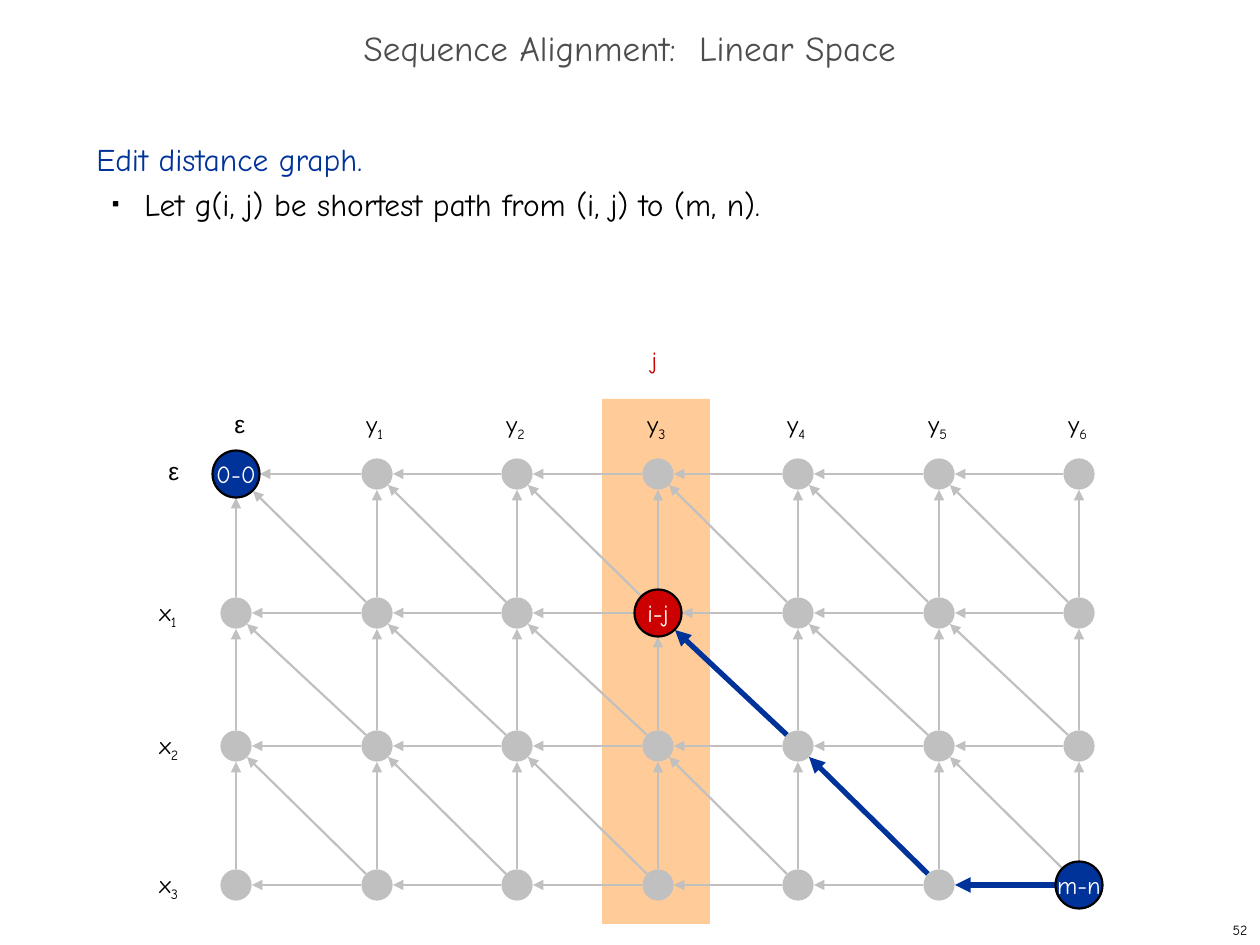
from itertools import product

from lxml import etree
from pptx import Presentation
from pptx.dml.color import RGBColor
from pptx.enum.shapes import MSO_CONNECTOR, MSO_SHAPE
from pptx.enum.text import MSO_ANCHOR, MSO_AUTO_SIZE, PP_ALIGN
from pptx.oxml.ns import qn
from pptx.util import Pt

STRAIGHT = MSO_CONNECTOR.STRAIGHT
RECTANGLE, OVAL = MSO_SHAPE.RECTANGLE, MSO_SHAPE.OVAL
LEFT, CENTER, RIGHT = PP_ALIGN.LEFT, PP_ALIGN.CENTER, PP_ALIGN.RIGHT
TOP, MIDDLE = MSO_ANCHOR.TOP, MSO_ANCHOR.MIDDLE

EMU_PER_PX = 914400 / 126
FONT, GREEK_FONT = "Comic Neue", "Arial"
COLORS = {
    "title": "4D4D4D", "text": "000000", "white": "FFFFFF", "grey": "C0C0C0",
    "blue": "003399", "red": "CC0000", "band": "FFCC99",
}

# Grid of the edit distance graph
COLUMNS = [236 + (281 * column + 1) // 2 for column in range(7)]
ROWS = [474, 613, 746, 885]
SPECIAL_NODES = {(0, 0): ("0-0", "blue"), (1, 3): ("i-j", "red"), (3, 6): ("m-n", "blue")}
SHORTEST_PATH = [(1, 3), (2, 4), (3, 5), (3, 6)]
PATH_EDGES = set(zip(SHORTEST_PATH, SHORTEST_PATH[1:]))


def px(value):
    return round(value * EMU_PER_PX)


def rgb(name):
    return RGBColor.from_string(COLORS[name])


def format_paragraph(paragraph, size, color, align=LEFT, font=FONT):
    paragraph.alignment = align
    paragraph.font.size = Pt(size)
    paragraph.font.name = font
    paragraph.font.color.rgb = rgb(color)


def add_text(slide, box, text, size, color="text", align=LEFT, anchor=TOP,
             font=FONT, subscript=""):
    shape = slide.shapes.add_textbox(*map(px, box))
    frame = shape.text_frame
    frame.word_wrap = True
    frame.vertical_anchor = anchor
    paragraph = frame.paragraphs[0]
    paragraph.add_run().text = text
    if subscript:
        run = paragraph.add_run()
        run.text = subscript
        run.font._element.set("baseline", "-25000")
    format_paragraph(paragraph, size, color, align, font)
    return shape


def add_shape(slide, kind, box, fill, line=None):
    shape = slide.shapes.add_shape(kind, *map(px, box))
    shape.shadow.inherit = False
    shape.fill.solid()
    shape.fill.fore_color.rgb = rgb(fill)
    if line:
        shape.line.color.rgb = rgb(line)
        shape.line.width = Pt(1.25)
    else:
        shape.line.fill.background()
    return shape


def add_node(slide, node):
    row, column = node
    label, color = SPECIAL_NODES.get(node, ("", "grey"))
    size = 47 if label else 29
    box = (COLUMNS[column] - size / 2, ROWS[row] - size / 2, size, size)
    shape = add_shape(slide, OVAL, box, color, "text" if label else "grey")
    if label:
        frame = shape.text_frame
        frame.word_wrap = False
        frame.vertical_anchor = MIDDLE
        frame.paragraphs[0].text = label
        format_paragraph(frame.paragraphs[0], 14, "white", CENTER)


def add_edge(slide, target, source):
    """Arrow between neighbouring nodes, with its head at the target."""
    down, across = source[0] - target[0], source[1] - target[1]
    ends = []
    for (row, column), sign in ((target, 1), (source, -1)):
        clearance = 24 if (row, column) in SPECIAL_NODES else 16
        if down and across:
            clearance = round(clearance * 0.71)
        ends += [px(COLUMNS[column] + sign * across * clearance),
                 px(ROWS[row] + sign * down * clearance)]
    connector = slide.shapes.add_connector(STRAIGHT, *ends)
    on_path = (target, source) in PATH_EDGES
    connector.line.color.rgb = rgb("blue" if on_path else "grey")
    connector.line.width = Pt(3 if on_path else 1.25)
    etree.SubElement(connector.line._get_or_add_ln(), qn("a:headEnd"), type="triangle")
    etree.SubElement(connector._element.spPr, qn("a:effectLst"))


def add_title(slide, text):
    title = slide.shapes.title
    title.left, title.top, title.width, title.height = map(px, (0, 21, 1260, 63))
    frame = title.text_frame
    frame.text = text
    frame.auto_size = MSO_AUTO_SIZE.NONE
    frame.vertical_anchor = MIDDLE
    frame.paragraphs[0].line_spacing = 0.7
    format_paragraph(frame.paragraphs[0], 20, "title", CENTER)


def add_bullet(paragraph):
    properties = paragraph._p.get_or_add_pPr()
    properties.set("marL", str(px(48)))
    properties.set("indent", str(px(-32)))
    color = etree.SubElement(properties, qn("a:buClr"))
    etree.SubElement(color, qn("a:srgbClr"), val=COLORS["text"])
    etree.SubElement(properties, qn("a:buSzPct"), val="35000")
    etree.SubElement(properties, qn("a:buFont"), typeface=GREEK_FONT)
    etree.SubElement(properties, qn("a:buChar"), char="■")


def add_body(slide):
    body = add_text(slide, (84, 126, 1081, 746), "Edit distance graph.", 18, "blue")
    bullet = body.text_frame.add_paragraph()
    bullet.text = "Let g(i, j) be shortest path from (i, j) to (m, n)."
    add_bullet(bullet)
    format_paragraph(bullet, 18, "text")
    for paragraph in body.text_frame.paragraphs:
        paragraph.line_spacing = Pt(26)


def add_graph(slide):
    nodes = list(product(range(len(ROWS)), range(len(COLUMNS))))
    for row, column in nodes:
        for source in ((row, column + 1), (row + 1, column), (row + 1, column + 1)):
            if source in nodes:
                add_edge(slide, (row, column), source)
    for node in nodes:
        add_node(slide, node)


def add_axis_labels(slide):
    add_text(slide, (222, 403, 57, 42), "ε", 14, font=GREEK_FONT)
    add_text(slide, (156, 450, 57, 42), "ε", 14, font=GREEK_FONT)
    for number, x in enumerate(COLUMNS[1:], 1):
        add_text(slide, (x - 23, 403, 57, 47), "y", 14, subscript=str(number))
    for number, y in enumerate(ROWS[1:], 1):
        add_text(slide, (147, y - 22, 57, 47), "x", 14, subscript=str(number))
    add_text(slide, (639, 339, 59, 42), "j", 14, "red")


def main():
    presentation = Presentation()
    presentation.slide_width, presentation.slide_height = px(1260), px(945)
    slide = presentation.slides.add_slide(presentation.slide_layouts[5])

    # Heading and statement
    add_title(slide, "Sequence Alignment:  Linear Space")
    add_body(slide)

    # Highlighted column j, then the graph on top of it
    add_shape(slide, RECTANGLE, (602, 399, 108, 525), "band")
    add_graph(slide)
    add_axis_labels(slide)

    # Page number
    add_text(slide, (998, 914, 262, 31), "52", 8, align=RIGHT, anchor=MIDDLE)
    presentation.save("out.pptx")


if __name__ == "__main__":
    main()
